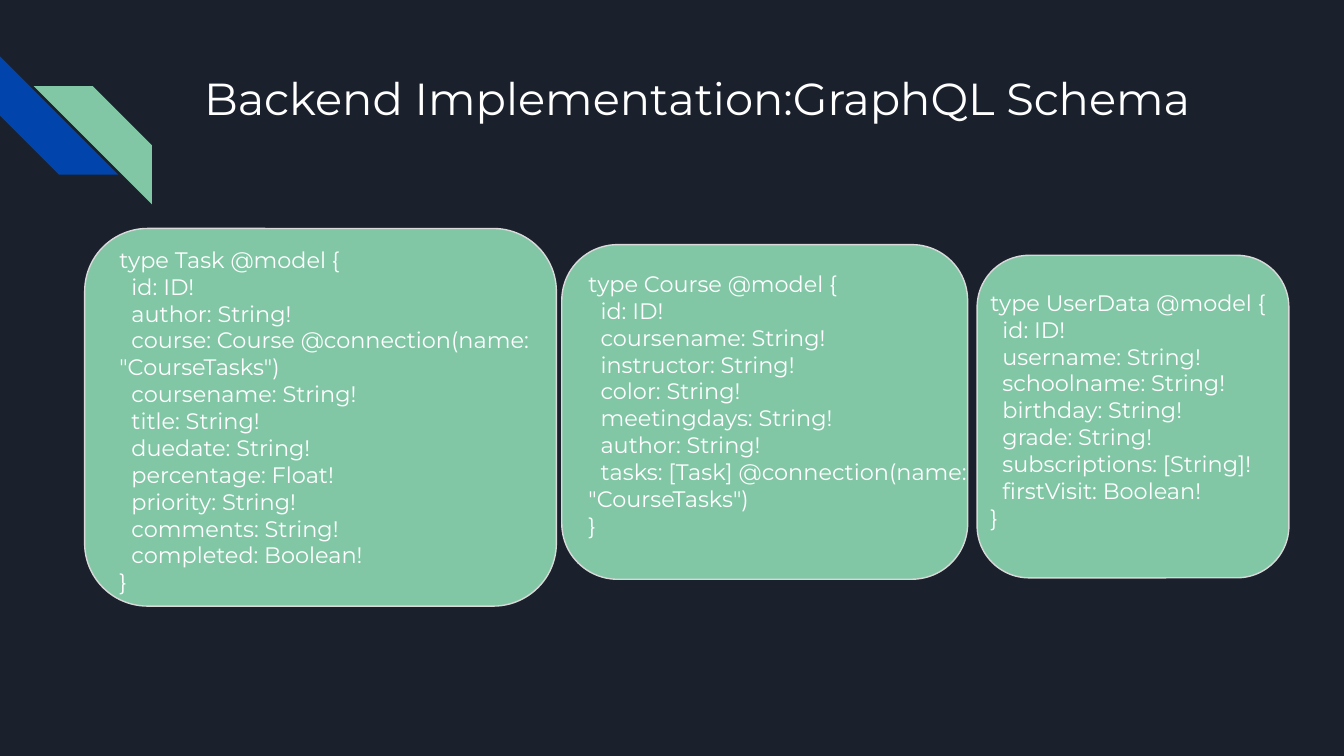
from dataclasses import dataclass

from pptx import Presentation
from pptx.dml.color import RGBColor as Rgb
from pptx.enum.shapes import MSO_SHAPE as Kind
from pptx.shapes.autoshape import Shape
from pptx.slide import Slide
from pptx.util import Inches, Pt


@dataclass(frozen=True)
class Theme:
    back: Rgb = Rgb.from_string("1B212C")
    blue: Rgb = Rgb.from_string("0145AC")
    green: Rgb = Rgb.from_string("82C7A5")
    edge: Rgb = Rgb.from_string("D9D9D9")
    ink: Rgb = Rgb.from_string("FFFFFF")
    font: str = "Montserrat"
    head: int = 24
    body: int = 12


@dataclass(frozen=True)
class Box:
    left: float
    top: float
    width: float
    height: float

    def lengths(self) -> list[Inches]:
        return [Inches(v) for v in (self.left, self.top, self.width, self.height)]


@dataclass(frozen=True)
class Stripe:
    box: Box
    turn: int
    color: Rgb


@dataclass(frozen=True)
class Card:
    name: str
    frame: Box
    area: Box
    fields: tuple[str, ...]


THEME = Theme()
WIDTH = Inches(10)
HEIGHT = WIDTH * 9 // 16
INDENT = Inches(0.09)

STRIPES = (
    Stripe(Box(0, 0.42, 0.88, 0.88), 270, THEME.blue),
    Stripe(Box(0.25, 0.64, 0.88, 0.88), 90, THEME.green),
)

CARDS = (
    Card("UserData", Box(7.27, 1.9, 2.32, 2.4), Box(7.27, 2.05, 2.52, 2.12), (
        "id: ID!", "username: String!", "schoolname: String!",
        "birthday: String!", "grade: String!",
        "subscriptions: [String]!", "firstVisit: Boolean!",
    )),
    Card("Course", Box(4.18, 1.82, 3.02, 2.49), Box(4.28, 1.91, 3.41, 2.3), (
        "id: ID!", "coursename: String!", "instructor: String!",
        "color: String!", "meetingdays: String!", "author: String!",
        'tasks: [Task] @connection(name: "CourseTasks")',
    )),
    Card("Task", Box(0.63, 1.7, 3.51, 2.81), Box(0.79, 1.73, 3.67, 2.98), (
        "id: ID!", "author: String!",
        'course: Course @connection(name: "CourseTasks")',
        "coursename: String!", "title: String!", "duedate: String!",
        "percentage: Float!", "priority: String!", "comments: String!",
        "completed: Boolean!",
    )),
)


def add_shape(slide: Slide, kind: Kind, box: Box, color: Rgb) -> Shape:
    shape = slide.shapes.add_shape(kind, *box.lengths())
    shape.shadow.inherit = False
    shape.fill.solid()
    shape.fill.fore_color.rgb = color
    shape.line.fill.background()
    return shape


def add_text(slide: Slide, box: Box, lines: list[tuple[str, bool]], size: int) -> None:
    frame = slide.shapes.add_textbox(*box.lengths()).text_frame
    frame.word_wrap = True
    frame.margin_left = frame.margin_right = Inches(0.1)
    frame.margin_top = frame.margin_bottom = Inches(0.1)
    for i, (text, inset) in enumerate(lines):
        para = frame.add_paragraph() if i else frame.paragraphs[0]
        if inset:
            props = para._p.get_or_add_pPr()
            props.set("marL", "0")
            props.set("indent", str(INDENT))
        run = para.add_run()
        run.text = text
        run.font.name = THEME.font
        run.font.size = Pt(size)
        run.font.color.rgb = THEME.ink


def add_card(slide: Slide, card: Card) -> None:
    shape = add_shape(slide, Kind.ROUNDED_RECTANGLE, card.frame, THEME.green)
    shape.line.color.rgb = THEME.edge
    shape.line.width = Pt(0.75)
    lines = [(f"type {card.name} @model {{", False)]
    lines += [(field, True) for field in card.fields]
    lines.append(("}", False))
    add_text(slide, card.area, lines, THEME.body)


def main() -> None:
    deck = Presentation()
    deck.slide_width, deck.slide_height = WIDTH, HEIGHT
    slide = deck.slides.add_slide(deck.slide_layouts[6])
    slide.background.fill.solid()
    slide.background.fill.fore_color.rgb = THEME.back
    for stripe in STRIPES:
        shape = add_shape(slide, Kind.DIAGONAL_STRIPE, stripe.box, stripe.color)
        shape.rotation = stripe.turn
    title = "Backend Implementation:GraphQL Schema"
    add_text(slide, Box(1.42, 0.43, 7.7, 1), [(title, False)], THEME.head)
    for card in CARDS:
        add_card(slide, card)
    deck.save("out.pptx")


if __name__ == "__main__":
    main()
